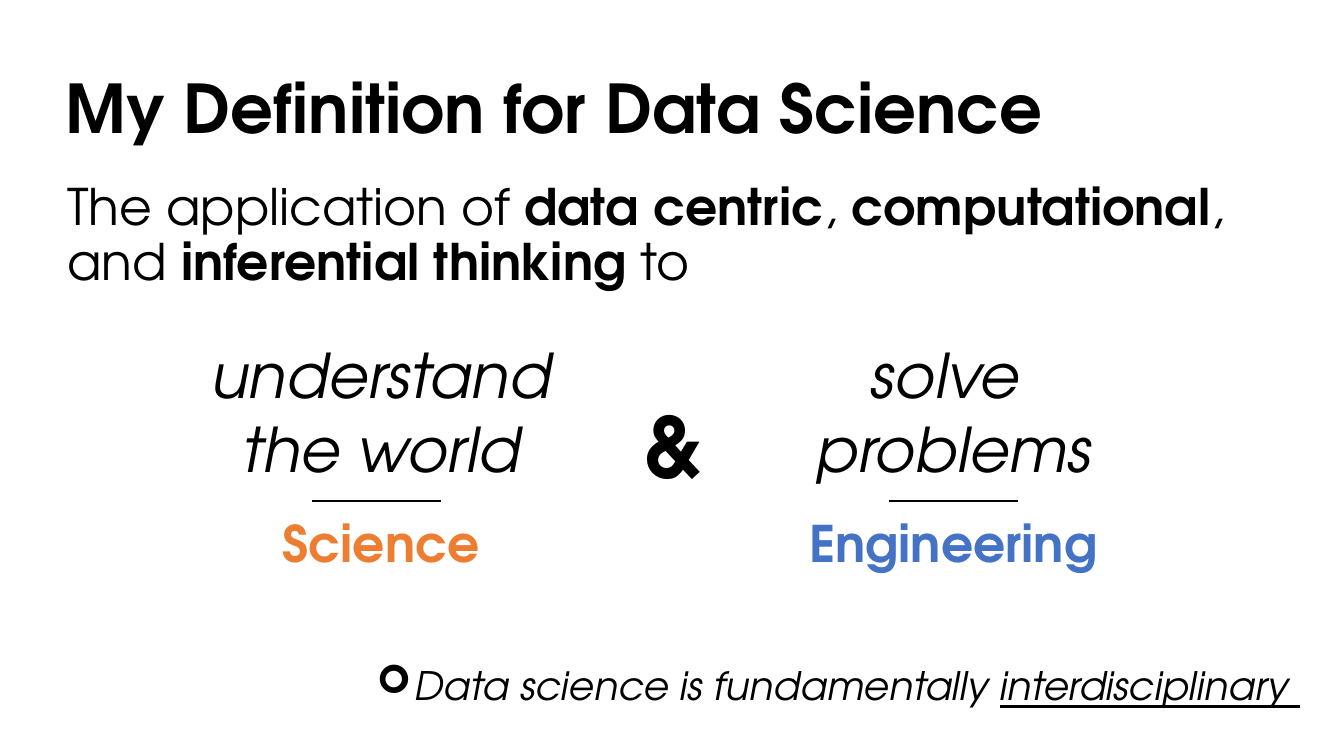
from dataclasses import dataclass
from lxml import etree
from pptx import Presentation
from pptx import util as u
from pptx.dml.color import RGBColor
from pptx.enum import shapes, text
from pptx.oxml.ns import qn


@dataclass(frozen=True)
class Theme:
    font: str = "TeX Gyre Adventor"
    black: str = "000000"
    white: str = "FFFFFF"
    orange: str = "ED7D31"
    blue: str = "4472C4"
    title: int = 48
    lead: int = 36
    goal: int = 44
    amp: int = 60
    note: int = 28
    rule: float = 1.5


LEFT = text.PP_ALIGN.LEFT
MID = text.PP_ALIGN.CENTER
RIGHT = text.PP_ALIGN.RIGHT


class Deck:
    def __init__(self, theme):
        self.theme = theme
        self.prs = Presentation()
        self.prs.slide_width = u.Inches(13.33)
        self.prs.slide_height = u.Inches(7.5)
        self.slide = self.prs.slides.add_slide(self.prs.slide_layouts[5])
        fill = self.slide.background.fill
        fill.solid()
        fill.fore_color.rgb = RGBColor.from_string(theme.white)

    def style(self, run, size, color=None, bold=False, italic=False):
        font = run.font
        font.name = self.theme.font
        font.size = u.Pt(size)
        font.bold = bold
        font.italic = italic
        font.color.rgb = RGBColor.from_string(color or self.theme.black)

    def title(self, words, box):
        shape = self.slide.shapes.title
        shape.left, shape.top, shape.width, shape.height = map(u.Inches, box)
        frame = shape.text_frame
        frame.text = words
        frame.word_wrap = True
        frame.auto_size = text.MSO_AUTO_SIZE.NONE
        frame.vertical_anchor = text.MSO_ANCHOR.MIDDLE
        para = frame.paragraphs[0]
        para.alignment = LEFT
        para.line_spacing = 0.9
        self.style(para.runs[0], self.theme.title, bold=True)

    def label(self, words, box, size, align=MID, wrap=False, **look):
        shape = self.slide.shapes.add_textbox(*map(u.Inches, box))
        frame = shape.text_frame
        frame.text = words
        frame.word_wrap = wrap
        for para in frame.paragraphs:
            para.alignment = align
            for run in para.runs:
                self.style(run, size, **look)
        return frame.paragraphs[0]

    def lead(self, parts, box):
        para = self.label("", box, self.theme.lead, LEFT, True)
        para.line_spacing = 0.9
        para._p.get_or_add_pPr().set("marL", str(u.Inches(0.02)))
        for words, bold in parts:
            run = para.add_run()
            run.text = words
            self.style(run, self.theme.lead, bold=bold)

    def note(self, words, key, box):
        size = self.theme.note
        para = self.label(words, box, size, RIGHT, True, italic=True)
        props = para._p.get_or_add_pPr()
        props.set("marL", str(u.Inches(0.39)))
        props.set("indent", str(u.Inches(-0.38)))
        etree.SubElement(props, qn("a:buFont")).set("typeface", "Wingdings")
        etree.SubElement(props, qn("a:buChar")).set("char", "➢")
        run = para.add_run()
        run.text = key
        self.style(run, size, italic=True)
        run.font.underline = True

    def rule(self, left, top, width):
        line = self.slide.shapes.add_connector(
            shapes.MSO_CONNECTOR.STRAIGHT,
            *map(u.Inches, (left, top, left + width, top)))
        line.line.color.rgb = RGBColor.from_string(self.theme.black)
        line.line.width = u.Pt(self.theme.rule)
        etree.SubElement(line._element.spPr, qn("a:effectLst"))

    def goal(self, words, field, color, goal, name, rule):
        self.label(words, (goal[0], 3.29, goal[1], 1.58),
                   self.theme.goal, italic=True)
        self.label(field, (name[0], 5.03, name[1], 0.71),
                   self.theme.lead, color=color, bold=True)
        self.rule(rule, 4.97, 1.28)


def main():
    theme = Theme()
    deck = Deck(theme)
    deck.title("My Definition for Data Science", (0.55, 0.38, 11.81, 1.45))
    deck.lead([("The application of ", False), ("data centric", True),
               (", ", False), ("computational", True), (", and ", False),
               ("inferential thinking", True), (" to", False)],
              (0.55, 1.76, 12.14, 1.7))
    deck.goal("understand\nthe world", "Science", theme.orange,
              (1.97, 3.63), (2.69, 2.18), 3.09)
    deck.goal("solve \nproblems", "Engineering", theme.blue,
              (7.97, 2.98), (7.91, 3.09), 8.82)
    deck.label("&", (6.29, 3.86, 0.77, 1.11), theme.amp, LEFT, bold=True)
    deck.note("Data science is fundamentally ", "interdisciplinary ",
              (2.66, 6.51, 10.33, 0.57))
    deck.prs.save("out.pptx")


if __name__ == "__main__":
    main()
